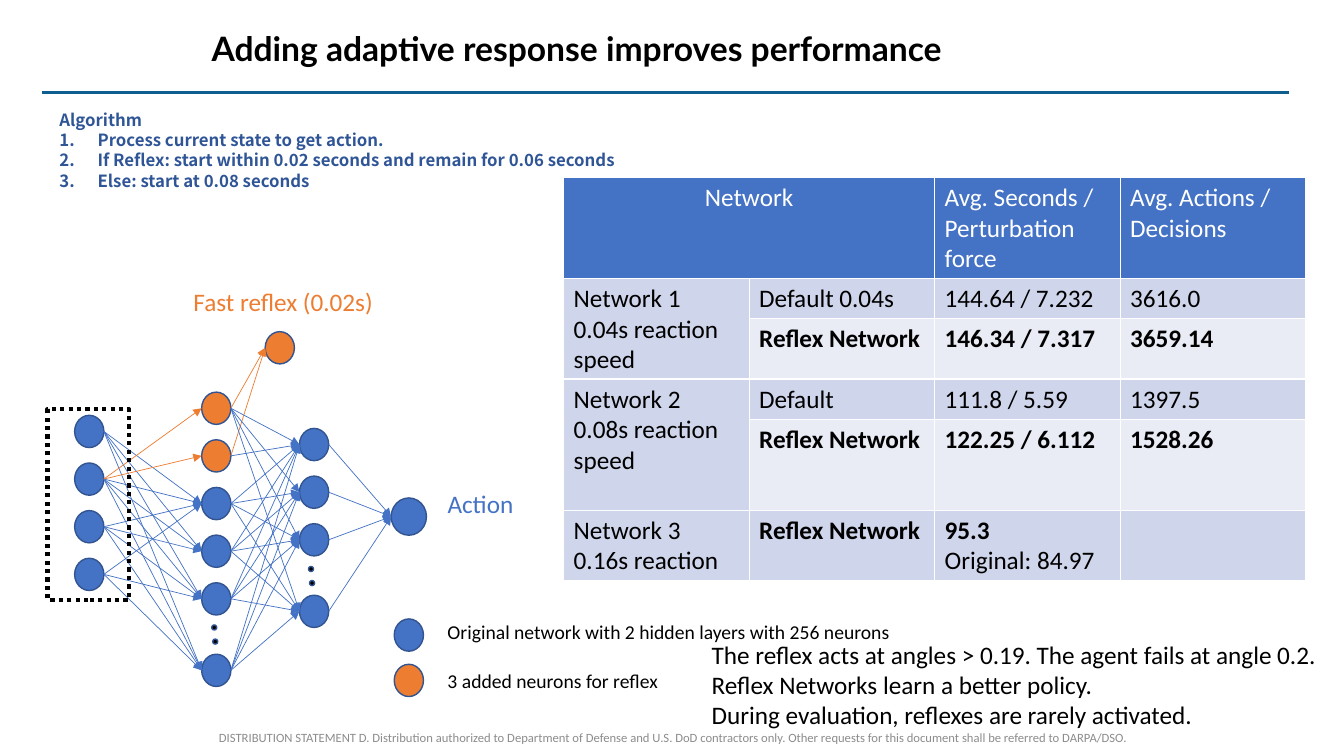
from lxml import etree
from pptx import Presentation
from pptx.dml.color import RGBColor
from pptx.enum import dml, shapes, text
from pptx.oxml import ns
from pptx.util import Inches, Pt

# Content
TITLE = "Adding adaptive response improves performance"
ALGORITHM_HEADING = "Algorithm"
ALGORITHM_STEPS = [
    "Process current state to get action.",
    "If Reflex: start within 0.02 seconds and remain for 0.06 seconds",
    "Else: start at 0.08 seconds",
]
HEADER = ["Network", "", "Avg. Seconds / Perturbation force", "Avg. Actions / Decisions"]
RESULTS = [
    ["Network 1\n0.04s reaction speed", "Default 0.04s", "144.64 / 7.232", "3616.0"],
    ["", "Reflex Network", "146.34 / 7.317", "3659.14"],
    ["Network 2\n0.08s reaction speed", "Default", "111.8 / 5.59", "1397.5"],
    ["", "Reflex Network", "122.25 / 6.112", "1528.26"],
    ["Network 3\n0.16s reaction", "Reflex Network", "95.3\nOriginal: 84.97", ""],
]
ROW_HEIGHTS = [1.0, 0.4, 0.6, 0.4, 0.9, 0.7]
COLUMN_WIDTH = 1.84
FINDINGS = [
    "The reflex acts at angles > 0.19. The agent fails at angle 0.2.",
    "Reflex Networks learn a better policy.",
    "During evaluation, reflexes are rarely activated.",
]
DISTRIBUTION = (
    "DISTRIBUTION STATEMENT D. Distribution authorized to Department of Defense and U.S. DoD "
    "contractors only. Other requests for this document shall be referred to DARPA/DSO."
)
LEGEND = [
    ("Original network with 2 hidden layers with 256 neurons", "blue", 6.14, 6.1),
    ("3 added neurons for reflex", "orange", 6.59, 6.59),
]

THEME = {
    "blue": "4472C4", "orange": "ED7D31", "outline": "325491", "rule": "0F5E90",
    "navy": "2F5597", "black": "000000", "white": "FFFFFF", "grey": "8C8C8C",
    "band_dark": "CFD5EA", "band_light": "E9EBF5",
    "title": 24, "body": 18, "legend": 14, "small": 12, "footer": 9,
    "font": "Calibri", "title_font": "Lato", "algorithm_font": "Noto Sans CJK SC",
}

# Network layers: left, top, and vertical steps of their neurons
NODE_W, NODE_H = 0.29, 0.32
PITCH = 2.6 / 5.5
LAYERS = {
    "input": (0.74, 4.12, [0, 1, 2, 3]),
    "hidden_1": (2.0, 3.89, [0, 1, 2, 3, 4, 5.5]),
    "hidden_2": (2.97, 4.25, [0, 1, 2, 3.5]),
}
REFLEX_NEURONS = 2
ELLIPSIS_DOTS = [(2.1, 6.2), (2.11, 6.34), (3.06, 5.62), (3.07, 5.76)]

presentation = Presentation()
presentation.slide_width, presentation.slide_height = Inches(13.33), Inches(7.5)
slide = presentation.slides.add_slide(presentation.slide_layouts[6])


def color(name):
    return RGBColor.from_string(THEME[name])


def write(frame, content, size="body", font="font", ink="black", bold=False, align=None, spacing=None):
    """Fill a text frame, one paragraph per line."""
    frame.word_wrap = True
    for index, line in enumerate(content.split("\n")):
        paragraph = frame.paragraphs[0] if index == 0 else frame.add_paragraph()
        paragraph.alignment = align
        paragraph.line_spacing = spacing
        run = paragraph.add_run()
        run.text = line
        run.font.size, run.font.name = Pt(THEME[size]), THEME[font]
        run.font.bold, run.font.color.rgb = bold, color(ink)
    return frame


def add_text(content, left, top, width, height, anchor=text.MSO_ANCHOR.TOP, **style):
    box = slide.shapes.add_textbox(*map(Inches, (left, top, width, height)))
    box.text_frame.vertical_anchor = anchor
    return write(box.text_frame, content, **style)


def add_neuron(left, top, fill="blue", width=NODE_W, height=NODE_H):
    """Draw a neuron; return its left and right connection points."""
    shape = slide.shapes.add_shape(shapes.MSO_SHAPE.OVAL, *map(Inches, (left, top, width, height)))
    shape.shadow.inherit = False
    shape.fill.solid()
    shape.fill.fore_color.rgb = color(fill)
    shape.line.color.rgb, shape.line.width = color("outline"), Pt(1)
    middle = top + height / 2
    return (left, middle), (left + width, middle)


def add_line(start, end, ink="blue", width=0.5, arrow=True):
    line = slide.shapes.add_connector(shapes.MSO_CONNECTOR.STRAIGHT, *map(Inches, start + end))
    line.line.color.rgb, line.line.width = color(ink), Pt(width)
    if arrow:
        etree.SubElement(line.line._get_or_add_ln(), ns.qn("a:tailEnd"), type="triangle")
    etree.SubElement(line._element.spPr, ns.qn("a:effectLst"))


def link(source, target, ink="blue"):
    add_line(source[1], target[0], ink)


def set_borders(cell, ink="white", width=1):
    properties = cell._tc.get_or_add_tcPr()
    for index, side in enumerate(("lnL", "lnR", "lnT", "lnB")):
        border = etree.Element(ns.qn("a:" + side), w=str(Pt(width)))
        fill = etree.SubElement(border, ns.qn("a:solidFill"))
        etree.SubElement(fill, ns.qn("a:srgbClr"), val=THEME[ink])
        properties.insert(index, border)


# Title and rule
add_line((0.42, 0.92), (12.78, 0.92), "rule", 1.75, arrow=False)
add_text(TITLE, 2, 0.17, 10.78, 0.67, anchor=text.MSO_ANCHOR.MIDDLE,
         size="title", font="title_font", bold=True, spacing=0.9)

# Algorithm with numbered steps
algorithm = add_text("\n".join([ALGORITHM_HEADING] + ALGORITHM_STEPS), 0.49, 1.04, 8.08, 0.91,
                     size="small", font="algorithm_font", ink="navy", bold=True)
for paragraph in algorithm.paragraphs[1:]:
    properties = paragraph._p.get_or_add_pPr()
    properties.set("marL", str(Inches(0.38)))
    properties.set("indent", str(-Inches(0.38)))
    etree.SubElement(properties, ns.qn("a:buAutoNum"), type="arabicPeriod")

# Neurons
neurons = {}
for layer, (left, top, steps) in LAYERS.items():
    reflex_count = REFLEX_NEURONS if layer == "hidden_1" else 0
    neurons[layer] = [
        add_neuron(left, top + step * PITCH, "orange" if index < reflex_count else "blue")
        for index, step in enumerate(steps)
    ]
for left, top in ELLIPSIS_DOTS:
    add_neuron(left, top, "black", 0.05, 0.05)
action = add_neuron(3.88, 4.94, width=0.35, height=0.37)
fast_reflex = add_neuron(2.63, 3.29, "orange")

# Connections
reflex, regular = neurons["hidden_1"][:REFLEX_NEURONS], neurons["hidden_1"][REFLEX_NEURONS:]
for row, source in enumerate(neurons["input"]):
    for column, target in enumerate(regular):
        if (row, column) != (3, 1):
            link(source, target)
for neuron in reflex:
    link(neurons["input"][1], neuron, "orange")
    link(neuron, fast_reflex, "orange")
for source in neurons["hidden_1"]:
    targets = neurons["hidden_2"]
    for target in targets[:1] if source is reflex[1] else targets:
        link(source, target)
for source in neurons["hidden_2"]:
    link(source, action)

# Input frame and diagram labels
frame = slide.shapes.add_shape(shapes.MSO_SHAPE.RECTANGLE, *map(Inches, (0.47, 4.06, 0.81, 1.89)))
frame.shadow.inherit = False
frame.fill.background()
frame.line.color.rgb, frame.line.width = color("black"), Pt(3)
frame.line.dash_style = dml.MSO_LINE.ROUND_DOT
add_text("Fast reflex (0.02s)", 1.82, 2.79, 2.21, 0.4, ink="orange")
add_text("Action", 4.34, 4.8, 1.65, 0.4, ink="blue")

# Results table
rows = [HEADER] + RESULTS
table = slide.shapes.add_table(len(rows), len(HEADER), Inches(5.59), Inches(1.76),
                               Inches(COLUMN_WIDTH * len(HEADER)), Inches(sum(ROW_HEIGHTS))).table
for column in table.columns:
    column.width = Inches(COLUMN_WIDTH)
for row_index, (values, height) in enumerate(zip(rows, ROW_HEIGHTS)):
    table.rows[row_index].height = Inches(height)
    is_header, is_reflex = row_index == 0, values[1] == "Reflex Network"
    band = "blue" if is_header else "band_light" if row_index in (2, 4) else "band_dark"
    for column_index, value in enumerate(values):
        cell = table.cell(row_index, column_index)
        cell.fill.solid()
        cell.fill.fore_color.rgb = color("band_dark" if column_index == 0 and not is_header else band)
        set_borders(cell)
        if value:
            write(cell.text_frame, value, ink="white" if is_header else "black",
                  bold=is_reflex and column_index > 0,
                  align=text.PP_ALIGN.CENTER if value == "Network" else None)
            for paragraph in cell.text_frame.paragraphs:
                if paragraph.text.startswith("Original"):
                    paragraph.runs[0].font.bold = False
for first, last in [((0, 0), (0, 1)), ((1, 0), (2, 0)), ((3, 0), (4, 0))]:
    table.cell(*first).merge(table.cell(*last))

# Findings, distribution statement and legend
add_text("\n".join(FINDINGS), 6.96, 6.29, 6.51, 1.01)
add_text(DISTRIBUTION, 1.57, 7.16, 10.2, 0.32, anchor=text.MSO_ANCHOR.MIDDLE,
         size="footer", ink="grey", align=text.PP_ALIGN.CENTER)
for label, fill, neuron_top, label_top in LEGEND:
    add_neuron(3.91, neuron_top, fill)
    add_text(label, 4.34, label_top, 5.24, 0.34, size="legend")

presentation.save("out.pptx")
